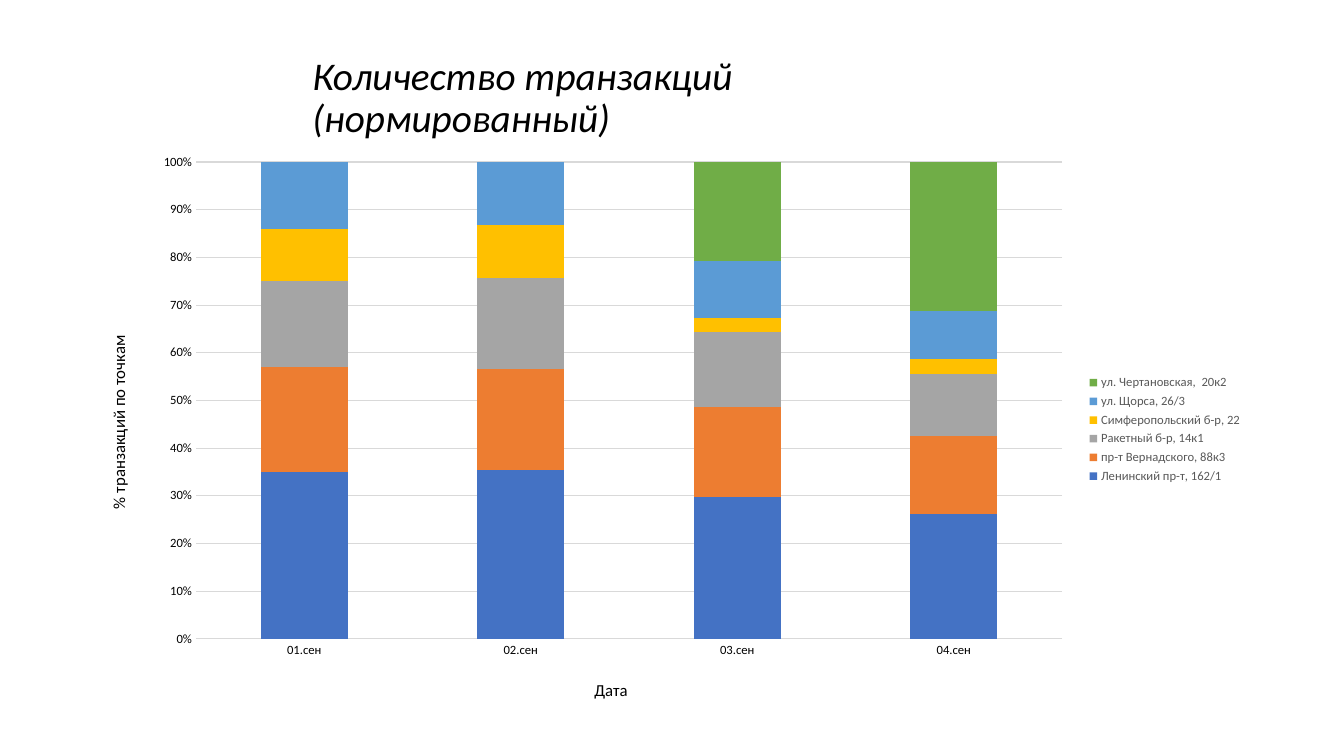
from lxml import etree
from pptx import Presentation
from pptx.chart.data import CategoryChartData
from pptx.dml.color import RGBColor
from pptx.enum.chart import XL_CHART_TYPE, XL_LEGEND_POSITION, XL_TICK_MARK
from pptx.enum.text import MSO_ANCHOR
from pptx.oxml.ns import qn
from pptx.util import Inches, Pt

STACKED_100 = XL_CHART_TYPE.COLUMN_STACKED_100
LEGEND_RIGHT = XL_LEGEND_POSITION.RIGHT
NO_TICK = XL_TICK_MARK.NONE
MIDDLE = MSO_ANCHOR.MIDDLE

FONT = "Calibri"
BLACK = RGBColor(0x00, 0x00, 0x00)
GRID_GRAY = RGBColor(0xD9, 0xD9, 0xD9)
LEGEND_GRAY = RGBColor(0x59, 0x59, 0x59)

DATES = ["01.сен", "02.сен", "03.сен", "04.сен"]
SHOPS = [
    ("Ленинский пр-т, 162/1", [35, 35, 30, 26], RGBColor(0x44, 0x72, 0xC4)),
    ("пр-т Вернадского, 88к3", [22, 21, 19, 16], RGBColor(0xED, 0x7D, 0x31)),
    ("Ракетный б-р, 14к1", [18, 19, 16, 13], RGBColor(0xA5, 0xA5, 0xA5)),
    ("Симферопольский б-р, 22", [11, 11, 3, 3], RGBColor(0xFF, 0xC0, 0x00)),
    ("ул. Щорса, 26/3", [14, 13, 12, 10], RGBColor(0x5B, 0x9B, 0xD5)),
    ("ул. Чертановская,  20к2", [None, None, 21, 31], RGBColor(0x70, 0xAD, 0x47)),
]


def style_font(font, size, color=BLACK):
    font.name = FONT
    font.size = Pt(size)
    font.color.rgb = color


def style_line(line):
    line.color.rgb = GRID_GRAY
    line.width = Pt(0.75)


def place_in_chart(element, index, **fractions):
    """Pin a chart part at fractions of the chart's size."""
    for old in element.findall(qn("c:layout")):
        element.remove(old)
    layout = etree.Element(qn("c:layout"))
    element.insert(index, layout)
    manual = etree.SubElement(layout, qn("c:manualLayout"))
    if "w" in fractions:
        etree.SubElement(manual, qn("c:layoutTarget")).set("val", "inner")
    for side in ("xMode", "yMode"):
        etree.SubElement(manual, qn(f"c:{side}")).set("val", "edge")
    for side, fraction in fractions.items():
        etree.SubElement(manual, qn(f"c:{side}")).set("val", str(fraction))


def style_axis(axis, title, x, y):
    axis.major_tick_mark = axis.minor_tick_mark = NO_TICK
    style_font(axis.tick_labels.font, 9)
    frame = axis.axis_title.text_frame
    frame.text = title
    caption = frame.paragraphs[0].font
    style_font(caption, 12)
    caption.bold = False
    place_in_chart(axis.axis_title._element, 1, x=x, y=y)


def add_title(slide, left, top, width, height):
    box = slide.shapes.add_textbox(left, top, width, height)
    frame = box.text_frame
    frame.word_wrap = True
    frame.vertical_anchor = MIDDLE
    heading = frame.paragraphs[0]
    heading.text = "Количество транзакций (нормированный)"
    heading.line_spacing = 0.9
    style_font(heading.font, 28)
    heading.font.italic = True


def add_transaction_chart(slide, left, top, width, height):
    shares = CategoryChartData()
    shares.categories = DATES
    for shop, values, _ in SHOPS:
        shares.add_series(shop, values)
    chart = slide.shapes.add_chart(
        STACKED_100, left, top, width, height, shares).chart
    chart.has_title = False
    style_font(chart.font, 10)

    plot = chart.plots[0]
    plot.gap_width = 150
    plot.overlap = 100
    plot.vary_by_categories = False
    for series, (_, _, color) in zip(plot.series, SHOPS):
        series.format.fill.solid()
        series.format.fill.fore_color.rgb = color

    style_axis(chart.category_axis, "Дата", 0.43, 0.93)
    style_line(chart.category_axis.format.line)
    percent_axis = chart.value_axis
    style_axis(percent_axis, "% транзакций по точкам", 0.01, 0.33)
    percent_axis.format.line.fill.background()
    percent_axis.tick_labels.number_format = "0%"
    percent_axis.tick_labels.number_format_is_linked = False
    style_line(percent_axis.major_gridlines.format.line)

    chart.has_legend = True
    chart.legend.position = LEGEND_RIGHT
    chart.legend.include_in_layout = False
    style_font(chart.legend.font, 9, LEGEND_GRAY)
    plot_area = chart.category_axis._element.getparent()
    place_in_chart(plot_area, 0, x=0.089, y=0.033, w=0.747, h=0.833)


def main():
    deck = Presentation()
    deck.slide_width, deck.slide_height = Inches(13.33), Inches(7.5)
    slide = deck.slides.add_slide(deck.slide_layouts[6])
    add_title(slide, Inches(3), Inches(0.71), Inches(7.34), Inches(0.54))
    add_transaction_chart(
        slide, Inches(0.92), Inches(1.42), Inches(11.5), Inches(5.68))
    deck.save("out.pptx")


if __name__ == "__main__":
    main()
